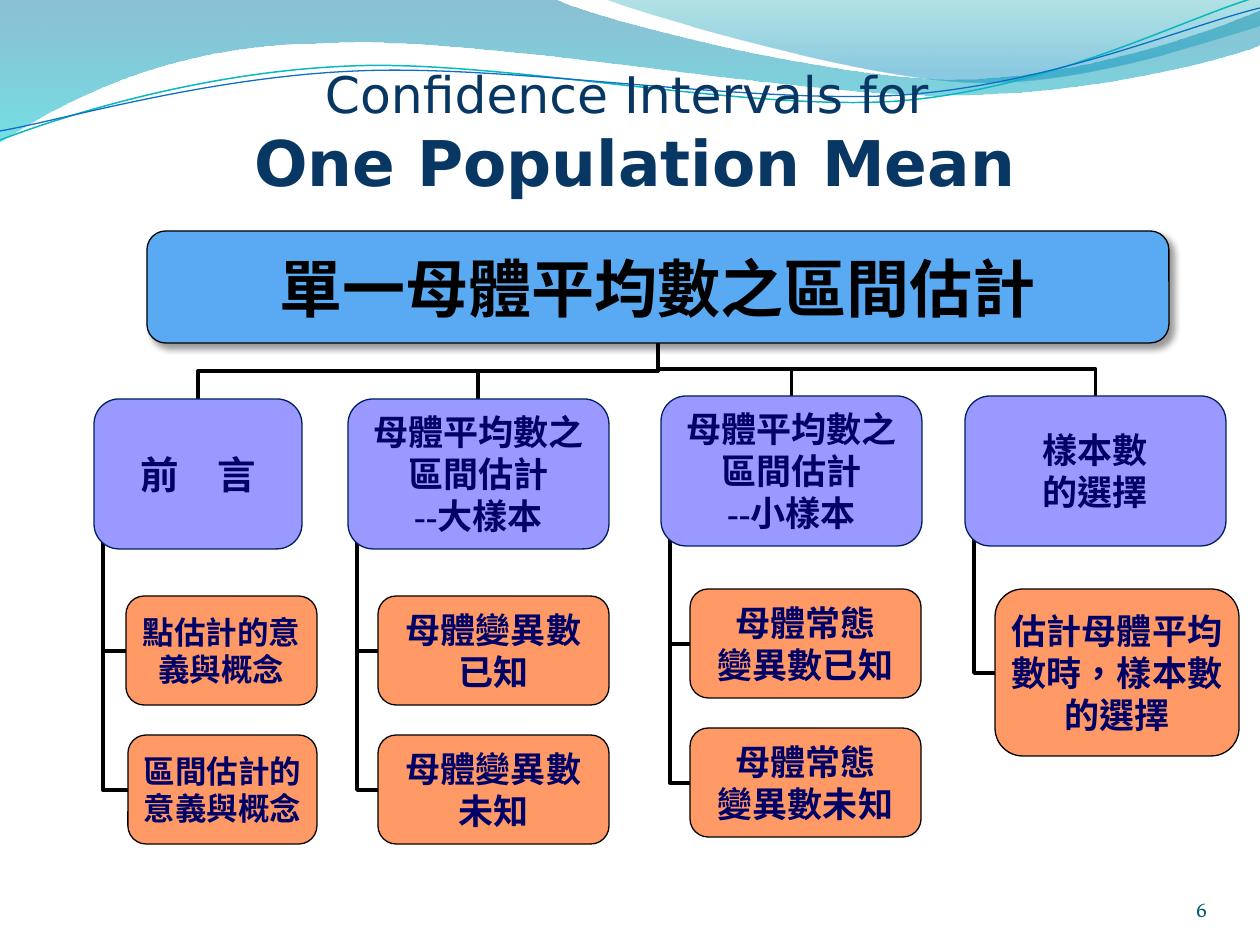
from lxml.etree import SubElement
from pptx import Presentation
from pptx.dml.color import RGBColor
from pptx.enum.lang import MSO_LANGUAGE_ID
from pptx.enum.shapes import MSO_CONNECTOR, MSO_SHAPE
from pptx.enum.text import MSO_ANCHOR, PP_ALIGN
from pptx.oxml.ns import qn
from pptx.util import Pt

EMU_PER_PX = 914400 / 126
BLACK = RGBColor(0x00, 0x00, 0x00)
TITLE_NAVY = RGBColor(0x08, 0x37, 0x63)
PAGE_TEAL = RGBColor(0x04, 0x5D, 0x75)
ROOT_BLUE = RGBColor(0x59, 0xAA, 0xF2)
TOPIC_VIOLET = RGBColor(0x99, 0x99, 0xFF)
TOPIC_EDGE = RGBColor(0x00, 0x20, 0x60)
DETAIL_ORANGE = RGBColor(0xFF, 0x99, 0x66)
LABEL_INDIGO = RGBColor(0x00, 0x00, 0x66)
WAVE_BLUE = RGBColor(0x00, 0x74, 0xA1)
WAVE_CYAN = RGBColor(0x00, 0xC6, 0xCF)
CREST_TEAL = RGBColor(0x00, 0xA1, 0xA9)
CREST_BLUE = RGBColor(0x00, 0x8B, 0xBF)
STRAND_TEAL = RGBColor(0x0A, 0xB8, 0xBF)
STRAND_BLUE = RGBColor(0x0F, 0x6F, 0xC6)

WAVE = [(0, -1), (554, -1), (600, 21, 837, 79, 955, 79), (1075, 79, 1207, 33, 1260, 11),
        (1261, 45), (1239, 55, 1096, 96, 940, 95), (783, 95, 481, 35, 324, 43),
        (163, 44, 58, 105, -1, 142)]
CREST = [(604, -1), (641, 14, 859, 78, 969, 82), (1079, 87, 1211, 40, 1260, 26), (1260, 0)]
TEAL_STRAND = [(0, 140), (60, 117, 199, 72, 349, 66), (498, 59, 747, 112, 898, 101),
               (1050, 89, 1182, 19, 1257, -3)]
BLUE_STRAND = [(0, 131), (59, 121, 207, 77, 357, 71), (508, 64, 752, 105, 903, 95),
               (1053, 84, 1186, 26, 1260, 8)]

ROOT = (147, 231, 1022, 112)
TREE = [
    ((94, 399, 208, 150), ["前　言"], 22,
     [((126, 596, 191, 109), ["點估計的意義與概念"], 18),
      ((128, 735, 189, 109), ["區間估計的意義與概念"], 18)]),
    ((348, 399, 261, 150), ["母體平均數之 區間估計", "--大樣本"], 20,
     [((378, 596, 231, 109), ["母體變異數", "已知"], 20),
      ((378, 735, 231, 109), ["母體變異數", "未知"], 20)]),
    ((661, 396, 261, 150), ["母體平均數之 區間估計", "--小樣本"], 20,
     [((690, 589, 231, 109), ["母體常態", "變異數已知"], 20),
      ((690, 728, 231, 109), ["母體常態", "變異數未知"], 20)]),
    ((965, 396, 261, 150), ["樣本數", "的選擇"], 20,
     [((995, 589, 244, 167), ["估計母體平均數時，樣本數的選擇"], 20)]),
]


def px(length):
    return round(length * EMU_PER_PX)


class Deck:
    """Draws styled elements on the current slide."""

    def __init__(self, width, height):
        self.presentation = Presentation()
        self.presentation.slide_width = px(width)
        self.presentation.slide_height = px(height)
        self.slide = self.presentation.slides.add_slide(self.presentation.slide_layouts[6])
        self.shapes = self.slide.shapes

    def outline(self, segments, closed):
        builder = self.shapes.build_freeform(*segments[0], scale=EMU_PER_PX)
        for segment in segments[1:]:
            builder.add_line_segments(list(zip(segment[::2], segment[1::2])), close=False)
        if closed:
            builder.add_line_segments([], close=True)
        shape = builder.convert_to_shape()
        shape.shadow.inherit = False
        lines = iter(list(shape._element.spPr.iter(qn("a:lnTo"))))
        for segment in segments[1:]:
            first = next(lines)
            if len(segment) == 6:
                first.tag = qn("a:cubicBezTo")
                for _ in range(2):
                    extra = next(lines)
                    first.append(extra[0])
                    extra.getparent().remove(extra)
        return shape

    def wave(self, segments, stops):
        shape = self.outline(segments, True)
        shape.line.fill.background()
        shape.fill.gradient()
        shape.fill.gradient_angle = 270
        for stop, (position, color, _) in zip(shape.fill.gradient_stops, stops):
            stop.position = position
            stop.color.rgb = color
        tints = shape._element.spPr.iter(qn("a:srgbClr"))
        for tint, (_, _, opacity) in zip(tints, stops):
            SubElement(tint, qn("a:alpha"), val=str(opacity * 1000))

    def strand(self, segments, color, weight):
        shape = self.outline(segments, False)
        shape.fill.background()
        shape.line.color.rgb = color
        shape.line.width = Pt(weight)

    def frame(self, shape, anchor, inset_top=0):
        frame = shape.text_frame
        frame.word_wrap = True
        frame.vertical_anchor = anchor
        frame.margin_left = frame.margin_right = frame.margin_bottom = 0
        frame.margin_top = px(inset_top)
        return frame

    def run(self, paragraph, text, size, font, color, bold=False):
        run = paragraph.add_run()
        run.text = text
        run.font.size = Pt(size)
        run.font.name = font
        run.font.bold = bold
        run.font.color.rgb = color
        return run

    def text(self, box, lines, font, color, align, inset_top=0):
        holder = self.shapes.add_textbox(*map(px, box))
        paragraph = self.frame(holder, MSO_ANCHOR.BOTTOM, inset_top).paragraphs[0]
        paragraph.alignment = align
        for index, (text, size, bold) in enumerate(lines):
            if index:
                paragraph.add_line_break()
            self.run(paragraph, text, size, font, color, bold)

    def node(self, box, lines, size, fill, edge, color=LABEL_INDIGO):
        shape = self.shapes.add_shape(MSO_SHAPE.ROUNDED_RECTANGLE, *map(px, box))
        shape.adjustments[0] = 0.167
        shape.shadow.inherit = False
        shape.fill.solid()
        shape.fill.fore_color.rgb = fill
        shape.line.color.rgb = edge
        shape.line.width = Pt(0.75)
        frame = self.frame(shape, MSO_ANCHOR.MIDDLE)
        for index, line in enumerate(lines):
            paragraph = frame.add_paragraph() if index else frame.paragraphs[0]
            paragraph.alignment = PP_ALIGN.CENTER
            label = self.run(paragraph, line, size, "Times New Roman", color, True)
            label.font.language_id = MSO_LANGUAGE_ID.TRADITIONAL_CHINESE
        return shape

    def cast_shadow(self, shape):
        effects = shape._element.spPr.find(qn("a:effectLst"))
        shadow = SubElement(effects, qn("a:outerShdw"), blurRad=str(Pt(4)), dist=str(Pt(3)),
                            dir="2700000", algn="tl", rotWithShape="0")
        tint = SubElement(shadow, qn("a:srgbClr"), val=str(BLACK))
        SubElement(tint, qn("a:alpha"), val="40000")

    def elbow(self, start, end):
        link = self.shapes.add_connector(MSO_CONNECTOR.ELBOW, *map(px, start + end))
        link.line.color.rgb = BLACK
        link.line.width = Pt(2.25)
        SubElement(link._element.spPr, qn("a:effectLst"))
        return link._element.spPr

    def stem(self, topic, detail):
        left, top, _, height = topic
        middle = detail[1] + (detail[3] + 1) // 2
        properties = self.elbow((detail[0], middle), (left + 9, top + height - 15))
        properties.find(qn("a:prstGeom")).set("prst", "bentConnector2")

    def branch(self, root, topic):
        root_x, root_y = root[0] + root[2] / 2, root[1] + root[3]
        topic_x, topic_y = topic[0] + topic[2] / 2, topic[1]
        drop, reach = topic_y - root_y, abs(topic_x - root_x)
        left = (root_x + topic_x - drop) / 2
        top = (root_y + topic_y - reach) / 2
        near, far = (left, left + drop) if topic_x > root_x else (left + drop, left)
        properties = self.elbow((near, top + reach), (far, top))
        turn = 270 if topic_x > root_x else 90
        properties.find(qn("a:xfrm")).set("rot", str(turn * 60000))


def main():
    deck = Deck(1260, 945)
    deck.wave(WAVE, [(0, WAVE_BLUE, 45), (1, WAVE_CYAN, 55)])
    deck.wave(CREST, [(0, CREST_TEAL, 30), (0.8, CREST_BLUE, 45)])
    deck.strand(TEAL_STRAND, STRAND_TEAL, 0.85)
    deck.strand(BLUE_STRAND, STRAND_BLUE, 0.75)
    deck.text((756, 872, 451, 50), [("6", 12, False)], "Vollkorn", PAGE_TEAL, PP_ALIGN.RIGHT)
    deck.text((63, 52, 1144, 147),
              [("Confidence Intervals for ", 28.8, False), ("One Population Mean", 36, True)],
              "DejaVu Sans", TITLE_NAVY, PP_ALIGN.CENTER, 6)
    for topic, _, _, details in TREE:
        deck.branch(ROOT, topic)
        for detail, _, _ in details:
            deck.stem(topic, detail)
    root = deck.node(ROOT, ["單一母體平均數之區間估計"], 36, ROOT_BLUE, BLACK, BLACK)
    deck.cast_shadow(root)
    for topic, heading, size, details in TREE:
        deck.node(topic, heading, size, TOPIC_VIOLET, TOPIC_EDGE)
        for detail, lines, detail_size in details:
            deck.node(detail, lines, detail_size, DETAIL_ORANGE, BLACK)
    deck.presentation.save("out.pptx")


if __name__ == "__main__":
    main()
